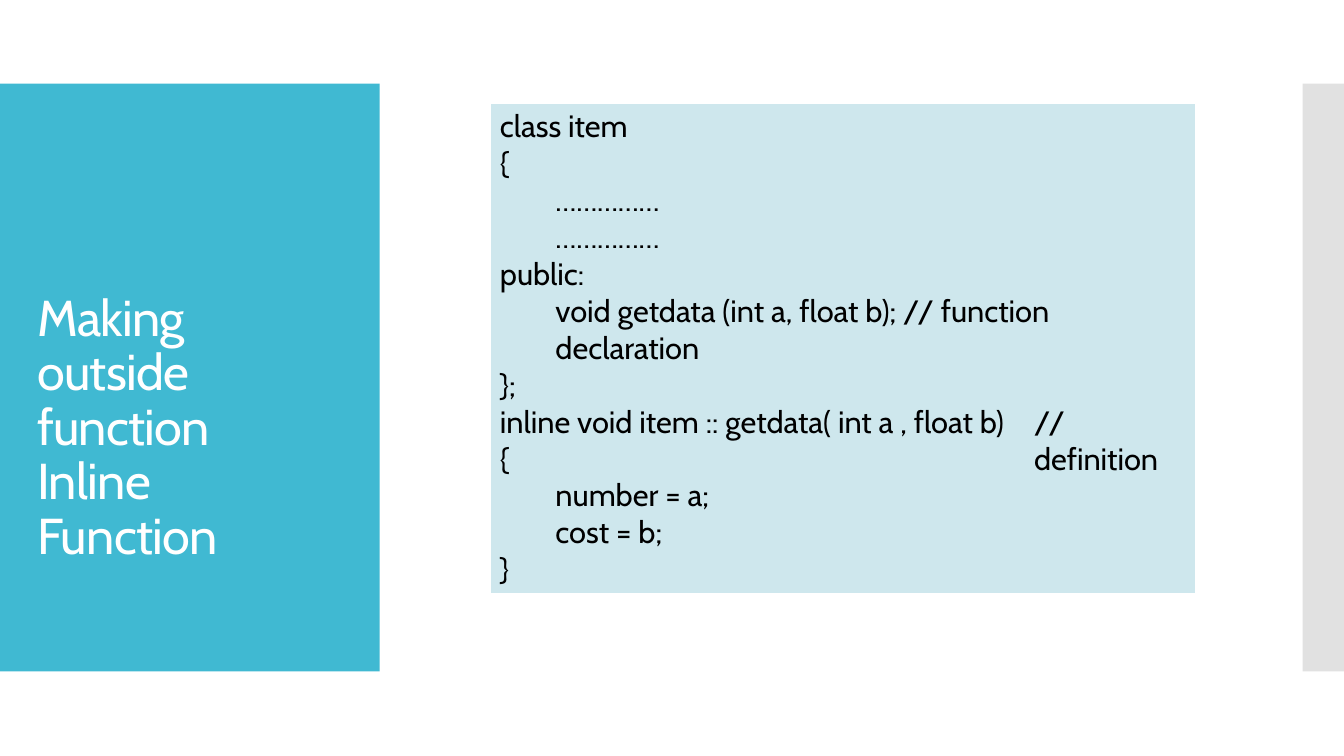
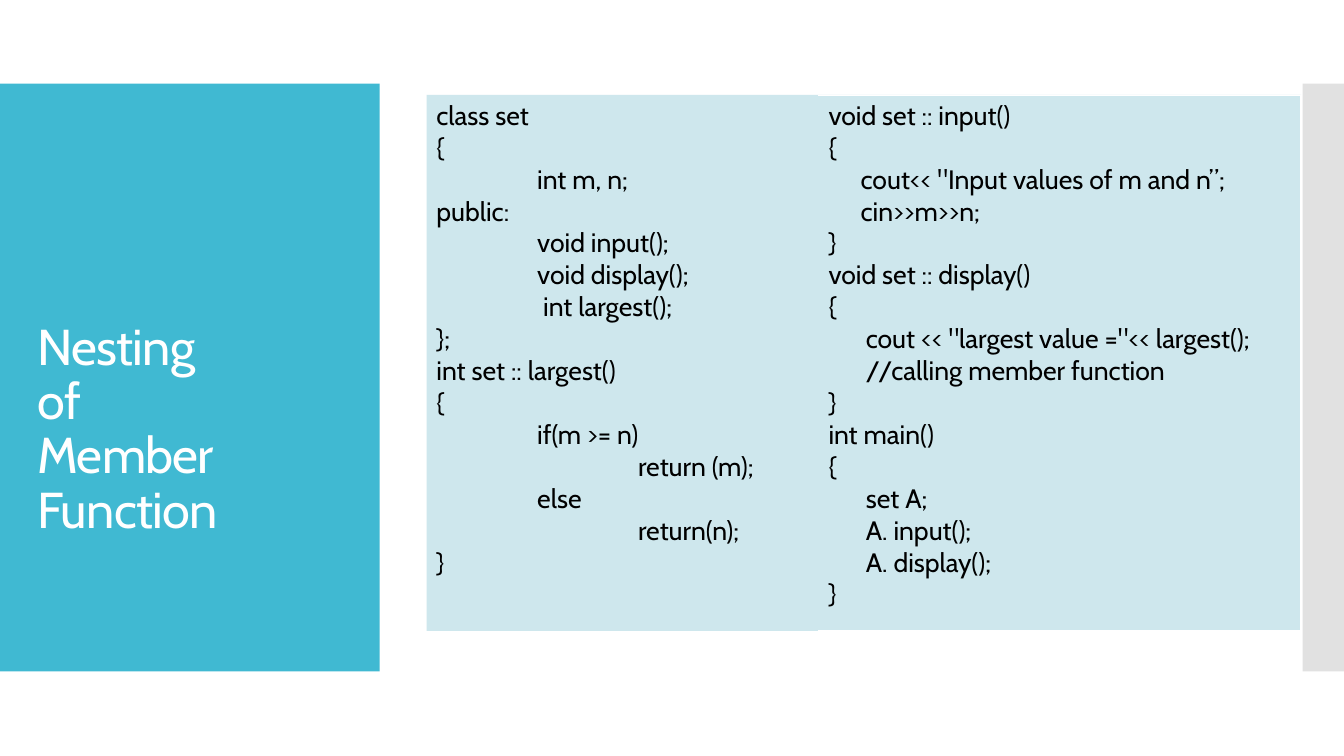
from dataclasses import dataclass
from typing import NamedTuple

import lxml.etree
import pptx
import pptx.dml.color
import pptx.enum.shapes
import pptx.enum.text
import pptx.oxml.ns
import pptx.presentation
import pptx.slide
import pptx.text.text
import pptx.util
from pptx.util import Cm, Pt


@dataclass(frozen=True)
class Theme:
    font: str = "Cabin"
    title_band: str = "40B9D2"
    edge_band: str = "E1E1E1"
    code_panel: str = "CEE7ED"
    panel_edge: str = "FFFFFF"
    title_text: str = "FFFFFF"
    code_text: str = "000000"
    title_size: float = 36
    title_leading: float = 38.9
    title_tracking: float = -0.5
    large_code: float = 22
    small_code: float = 19
    edge_width: float = 1


THEME = Theme()
TITLE_ONLY = 5


class Box(NamedTuple):
    """A rectangle in centimetres."""
    left: float
    top: float
    width: float
    height: float

    def lengths(self) -> tuple[pptx.util.Length, ...]:
        return tuple(Cm(value) for value in self)


class Edge(NamedTuple):
    """A straight line in centimetres."""
    begin_x: float
    begin_y: float
    end_x: float
    end_y: float


class Line(NamedTuple):
    text: str
    indent: float = 0


@dataclass(frozen=True)
class Listing:
    box: Box
    size: float
    lines: list[Line]


@dataclass(frozen=True)
class CodeSlide:
    title: str
    title_box: Box
    panel: Box
    edges: list[Edge]
    listings: list[Listing]


TITLE_BAND = Box(0, 2.11, 9.57, 14.81)
EDGE_BAND = Box(32.83, 2.11, 1.04, 14.81)

STEP = 1.4
TAB = 2.54
INPUT_STEP = 0.81
BODY_STEP = 0.94

OUTSIDE_INLINE = CodeSlide(
    title="Making outside function Inline Function",
    title_box=Box(0.94, 7.16, 5.08, 7.2),
    panel=Box(12.35, 2.61, 17.79, 12.36),
    edges=[
        Edge(12.35, 2.61, 12.35, 14.97),
        Edge(30.14, 2.61, 30.14, 14.97),
        Edge(12.33, 2.61, 30.16, 2.61),
        Edge(12.33, 14.97, 30.16, 14.97),
    ],
    listings=[
        Listing(Box(12.6, 2.66, 17.25, 12.2), THEME.large_code, [
            Line("class item"),
            Line("{"),
            Line("……………", STEP),
            Line("……………", STEP),
            Line("public:"),
            Line("void getdata (int a, float b); // function declaration", STEP),
            Line("};"),
            Line("inline void item :: getdata( int a , float b)"),
            Line("{"),
            Line("number = a;", STEP),
            Line("cost = b;", STEP),
            Line("}"),
        ]),
        Listing(Box(26.06, 10.11, 3.71, 1.9), THEME.large_code, [
            Line("// definition"),
        ]),
    ],
)

NESTING = CodeSlide(
    title="Nesting of Member Function",
    title_box=Box(0.94, 7.88, 5.08, 5.8),
    panel=Box(10.75, 2.39, 22.04, 13.51),
    edges=[
        Edge(32.79, 2.39, 32.79, 15.92),
        Edge(20.62, 2.4, 32.81, 2.4),
        Edge(20.62, 15.9, 32.81, 15.9),
    ],
    listings=[
        Listing(Box(11, 2.46, 9.4, 12.2), THEME.small_code, [
            Line("class set"),
            Line("{"),
            Line("int m, n;", TAB),
            Line("public:"),
            Line("void input();", TAB),
            Line("void display();", TAB),
            Line("int largest();", TAB + 0.15),
            Line("};"),
            Line("int set :: largest()"),
            Line("{"),
            Line("if(m >= n)", TAB),
            Line("return (m);", 2 * TAB),
            Line("else", TAB),
            Line("return(n);", 2 * TAB),
            Line("}"),
        ]),
        Listing(Box(20.88, 2.46, 11.43, 13), THEME.small_code, [
            Line("void set :: input()"),
            Line("{"),
            Line('cout<< "Input values of m and n”;', INPUT_STEP),
            Line("cin>>m>>n;", INPUT_STEP),
            Line("}"),
            Line("void set :: display()"),
            Line("{"),
            Line('cout << "largest value ="<< largest();', BODY_STEP),
            Line("//calling member function", BODY_STEP),
            Line("}"),
            Line("int main()"),
            Line("{"),
            Line("set A;", BODY_STEP),
            Line("A. input();", BODY_STEP),
            Line("A. display();", BODY_STEP),
            Line("}"),
        ]),
    ],
)


def rgb(color: str) -> pptx.dml.color.RGBColor:
    return pptx.dml.color.RGBColor.from_string(color)


def write_text(frame: pptx.text.text.TextFrame, lines: list[Line], *,
               size: float, color: str, tracking: float = 0,
               inset_top: float = 0, space_before: float = 0,
               leading: float | None = None) -> None:
    """Fill a frame with one paragraph per line; tracking is in points."""
    frame.word_wrap = True
    frame.auto_size = pptx.enum.text.MSO_AUTO_SIZE.NONE
    frame.vertical_anchor = pptx.enum.text.MSO_ANCHOR.TOP
    frame.margin_left = frame.margin_right = frame.margin_bottom = 0
    frame.margin_top = Cm(inset_top)
    for number, line in enumerate(lines):
        paragraph = frame.add_paragraph() if number else frame.paragraphs[0]
        paragraph.alignment = pptx.enum.text.PP_ALIGN.LEFT
        paragraph.space_before = Pt(0 if number else space_before)
        if leading is not None:
            paragraph.line_spacing = Pt(leading)
        paragraph._p.get_or_add_pPr().set("marL", str(Cm(line.indent)))
        run = paragraph.add_run()
        run.text = line.text
        run.font.name = THEME.font
        run.font.size = Pt(size)
        run.font.color.rgb = rgb(color)
        run._r.get_or_add_rPr().set("spc", str(round(tracking * 100)))


def draw_block(slide: pptx.slide.Slide, box: Box, color: str) -> None:
    block = slide.shapes.add_shape(
        pptx.enum.shapes.MSO_SHAPE.RECTANGLE, *box.lengths())
    block.shadow.inherit = False
    block.fill.solid()
    block.fill.fore_color.rgb = rgb(color)
    block.line.fill.background()


def draw_edge(slide: pptx.slide.Slide, edge: Edge) -> None:
    border = slide.shapes.add_connector(
        pptx.enum.shapes.MSO_CONNECTOR.STRAIGHT,
        *(Cm(value) for value in edge))
    border.line.color.rgb = rgb(THEME.panel_edge)
    border.line.width = Pt(THEME.edge_width)
    lxml.etree.SubElement(border._element.spPr,
                          pptx.oxml.ns.qn("a:effectLst"))


def place_title(slide: pptx.slide.Slide, text: str, box: Box) -> None:
    """Format the title and bring it in front of its band."""
    title = slide.shapes.title
    title.left, title.top, title.width, title.height = box.lengths()
    write_text(title.text_frame, [Line(text)], size=THEME.title_size,
               color=THEME.title_text, tracking=THEME.title_tracking,
               inset_top=0.2, space_before=5.9, leading=THEME.title_leading)
    title._element.getparent().append(title._element)


def add_code_slide(deck: pptx.presentation.Presentation,
                   content: CodeSlide) -> None:
    slide = deck.slides.add_slide(deck.slide_layouts[TITLE_ONLY])
    draw_block(slide, TITLE_BAND, THEME.title_band)
    draw_block(slide, EDGE_BAND, THEME.edge_band)
    draw_block(slide, content.panel, THEME.code_panel)
    for edge in content.edges:
        draw_edge(slide, edge)
    place_title(slide, content.title, content.title_box)
    for listing in content.listings:
        code = slide.shapes.add_textbox(*listing.box.lengths())
        write_text(code.text_frame, listing.lines, size=listing.size,
                   color=THEME.code_text, inset_top=0.03, space_before=1)


def main() -> None:
    deck = pptx.Presentation()
    deck.slide_width, deck.slide_height = Cm(33.87), Cm(19.05)
    for content in (OUTSIDE_INLINE, NESTING):
        add_code_slide(deck, content)
    deck.save("out.pptx")


if __name__ == "__main__":
    main()
